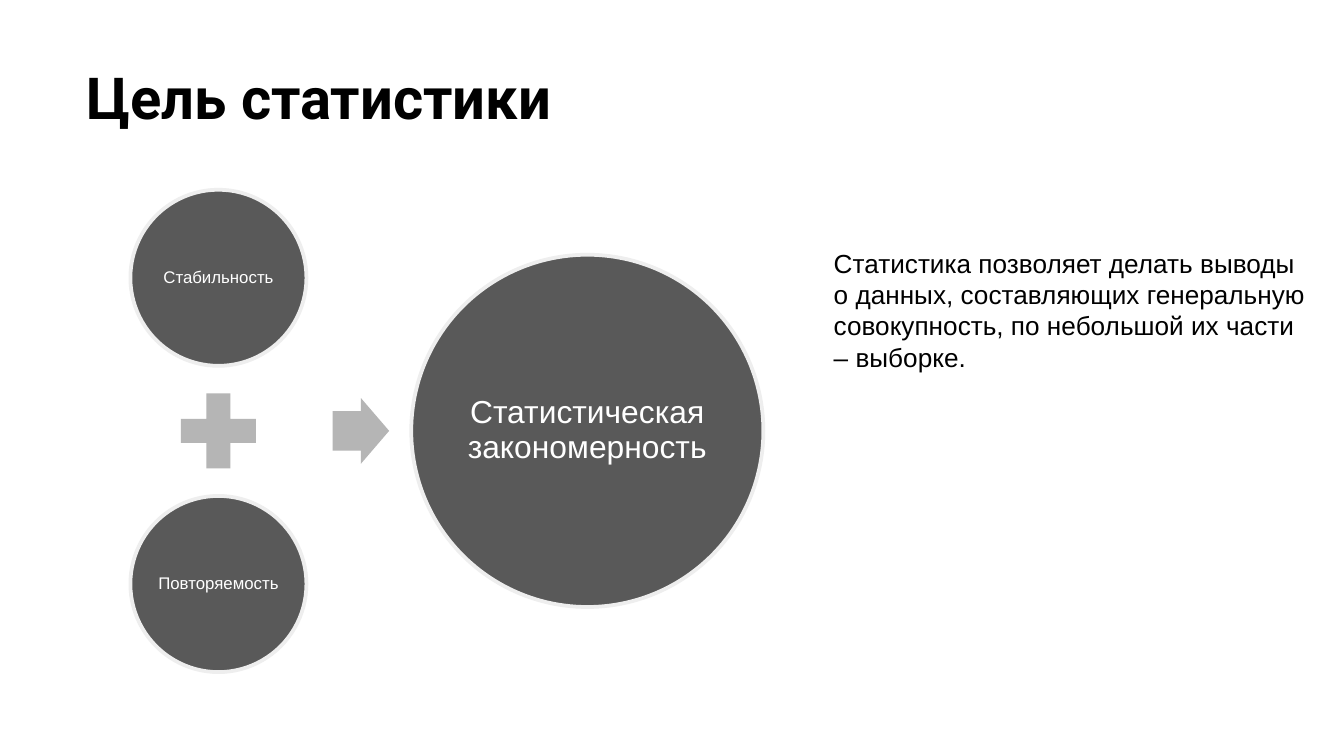
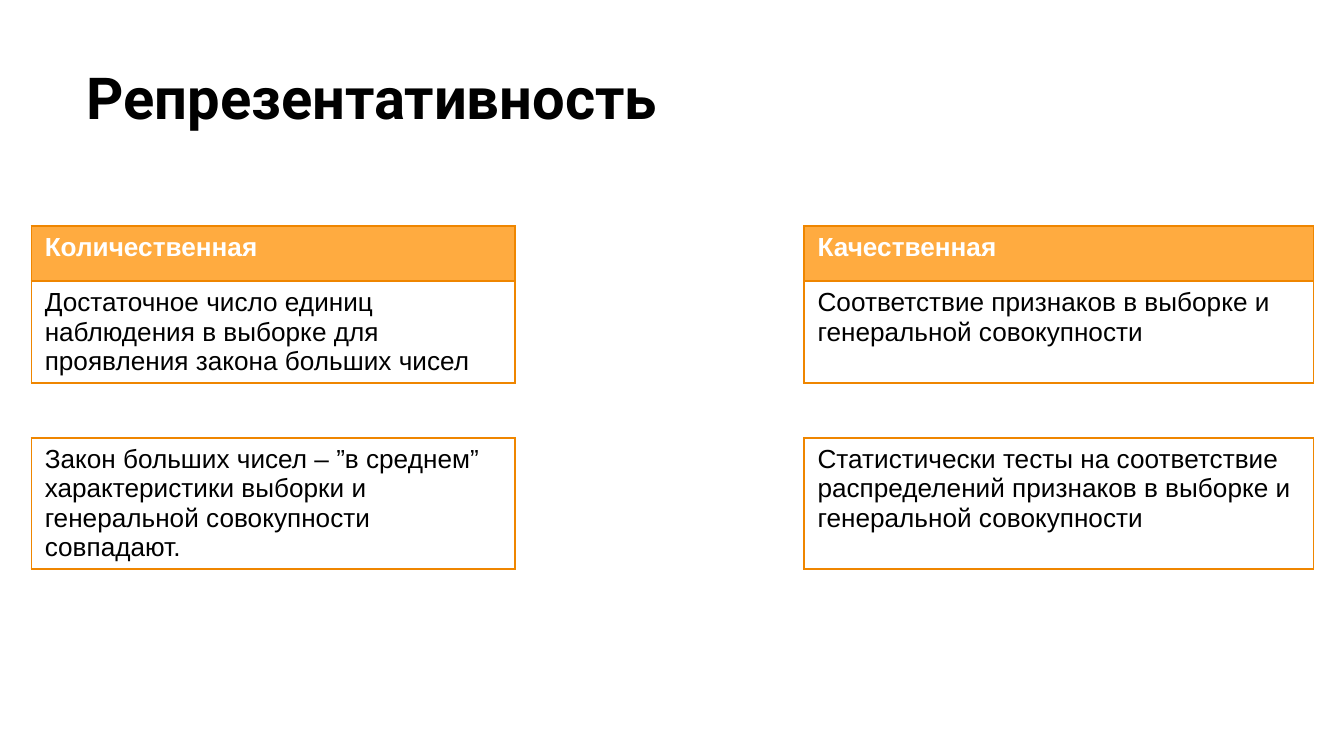
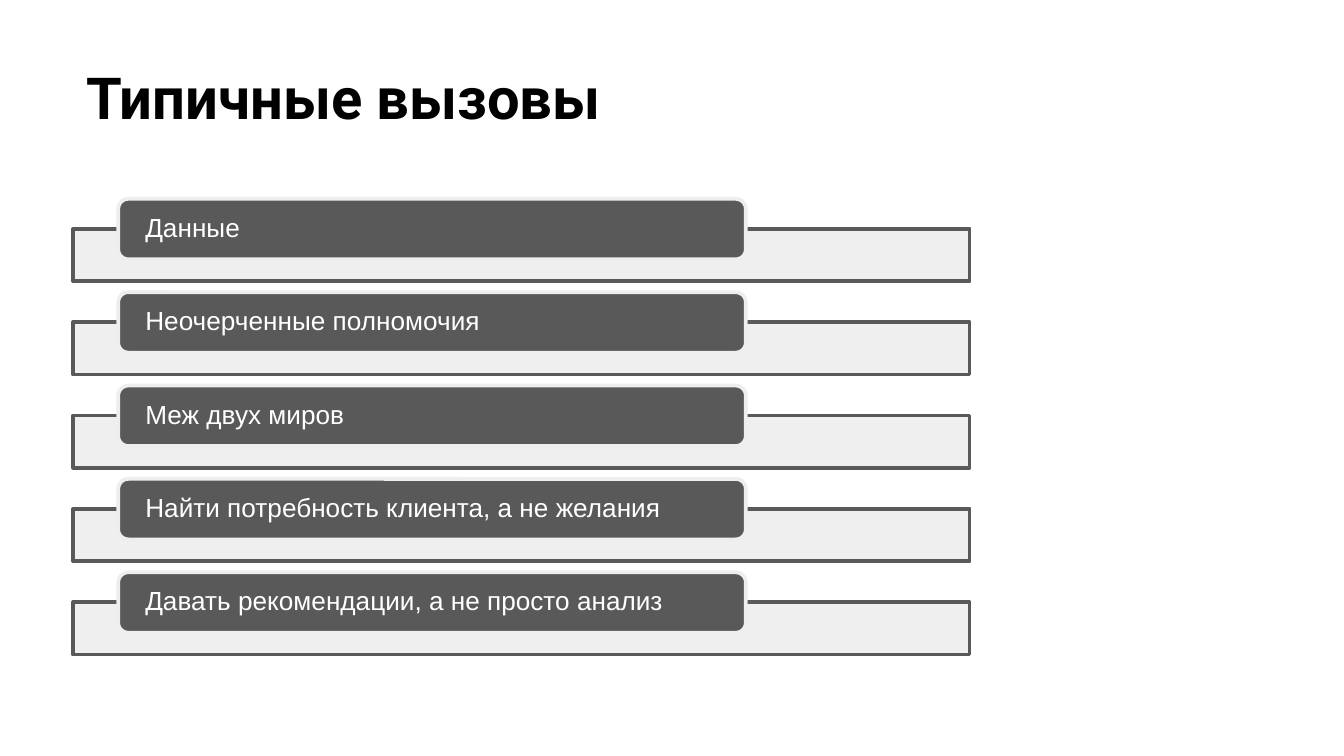
import pptx
import pptx.util
import pptx.dml.color
import pptx.enum.shapes
import pptx.enum.text
import pptx.oxml
import pptx.oxml.ns

Pt = pptx.util.Pt
Kind = pptx.enum.shapes.MSO_SHAPE
Side = pptx.enum.text.PP_ALIGN
Hold = pptx.enum.text.MSO_ANCHOR

dark, pale, grey, gold, edge = "595959", "EEEEEE", "B5B5B5", "FFAB40", "EF8600"
white, black = "FFFFFF", "000000"

deck = pptx.Presentation()
deck.slide_width = pptx.util.Inches(10)
deck.slide_height = deck.slide_width * 9 // 16
col = deck.slide_width / 100
row = deck.slide_height / 100


def hue(code):
    return pptx.dml.color.RGBColor.from_string(code)


def draw(page, kind, box, fill, line=None):
    left, top, width, height = box
    shape = page.shapes.add_shape(
        kind, int(left * col), int(top * row), int(width * col), int(height * row))
    shape.shadow.inherit = False
    shape.fill.solid()
    shape.fill.fore_color.rgb = hue(fill)
    if line:
        shape.line.color.rgb = hue(line)
        shape.line.width = Pt(2)
    else:
        shape.line.fill.background()
    return shape


pages = []
for name in ["Цель статистики", "Репрезентативность", "Типичные вызовы"]:
    page = deck.slides.add_slide(deck.slide_layouts[5])
    head = page.shapes.title
    place = {"left": 5.45 * col, "top": 6.4 * row, "width": 93.2 * col, "height": 21.3 * row}
    for key, value in place.items():
        setattr(head, key, int(value))
    frame = head.text_frame
    frame.text = name
    form = {"vertical_anchor": Hold.TOP, "word_wrap": True,
            "auto_size": pptx.enum.text.MSO_AUTO_SIZE.NONE}
    for lip in ["left", "right", "top", "bottom"]:
        form["margin_" + lip] = int(col)
    for key, value in form.items():
        setattr(frame, key, value)
    frame.paragraphs[0].alignment = Side.LEFT
    font = frame.paragraphs[0].font
    for key, value in {"name": "Roboto", "size": Pt(31), "bold": True}.items():
        setattr(font, key, value)
    font.color.rgb = hue(black)
    pages.append(page)

goal, sample, tasks = pages
labels = []

for text, box, size in [
    ("Стабильность", (9.7, 25.1, 13.1, 23.3), 9),
    ("Повторяемость", (9.7, 65.6, 13.1, 23.3), 9),
    ("Статистическая закономерность", (30.6, 33.7, 26.2, 46.6), 17),
]:
    disc = draw(goal, Kind.OVAL, box, dark, pale)
    labels.append((disc, text, size, Side.CENTER, 0.1))

draw(goal, Kind.MATH_PLUS, (12.45, 50.25, 7.6, 13.5), grey)
arrow = draw(goal, Kind.RIGHT_ARROW, (24.75, 52.65, 4.2, 8.7), grey)
arrow.adjustments[0] = 0.6
arrow.adjustments[1] = 0.5

note = goal.shapes.add_textbox(
    int(61.05 * col), int(31.8 * row), int(37.6 * col), int(18.5 * row))
note.text_frame.word_wrap = True
note.text_frame.text = (
    "Статистика позволяет делать выводы о данных, составляющих генеральную "
    "совокупность, по небольшой их части – выборке.")
para = note.text_frame.paragraphs[0]
for key, value in {"name": "Arial", "size": Pt(14)}.items():
    setattr(para.font, key, value)
para.font.color.rgb = hue(black)

rows = [
    ("Количественная", "", "Качественная"),
    ("Достаточное число единиц наблюдения в выборке для проявления закона больших чисел",
     "", "Соответствие признаков в выборке и генеральной совокупности"),
    ("", "", ""),
    ("Закон больших чисел – ”в среднем” характеристики выборки и генеральной совокупности совпадают.",
     "", "Статистически тесты на соответствие распределений признаков в выборке и генеральной совокупности"),
]
grid = sample.shapes.add_table(
    4, 3, int(2.33 * col), int(29.9 * row), int(95.4 * col), int(29.2 * row)).table
style = grid._tbl.tblPr.find(pptx.oxml.ns.qn("a:tableStyleId"))
style.text = "{2D5ABB26-0587-4C30-8999-92F81FD0307C}"
for part, width in zip(grid.columns, [36, 21.5, 37.9]):
    part.width = int(width * col)
for y, line in enumerate(rows):
    grid.rows[y].height = int(7.3 * row)
    for x, text in enumerate(line):
        cell = grid.cell(y, x)
        cell.text = text
        font = cell.text_frame.paragraphs[0].font
        for key, value in {"name": "Arial", "size": Pt(14), "bold": y == 0}.items():
            setattr(font, key, value)
        font.color.rgb = hue(black if y else white)
        sides = "LRTB" if text else "LR" if y != 2 else "TB" if x != 1 else ""
        for side in sides:
            cell._tc.get_or_add_tcPr().append(pptx.oxml.parse_xml(
                f'<a:ln{side} {pptx.oxml.ns.nsdecls("a")} w="12700"><a:solidFill>'
                f'<a:srgbClr val="{edge}"/></a:solidFill></a:ln{side}>'))
        if text and y == 0:
            cell.fill.solid()
            cell.fill.fore_color.rgb = hue(gold)
        else:
            cell.fill.background()

for step, text in enumerate([
    "Данные",
    "Неочерченные полномочия",
    "Меж двух миров",
    "Найти потребность клиента, а не желания",
    "Давать рекомендации, а не просто анализ",
]):
    drop = step * 12.35
    bar = draw(tasks, Kind.RECTANGLE, (5.45, 30.25 + drop, 66.7, 6.95), pale, dark)
    tint = bar._element.spPr.find(pptx.oxml.ns.qn("a:solidFill"))[0]
    tint.append(pptx.oxml.parse_xml(
        f'<a:alpha {pptx.oxml.ns.nsdecls("a")} val="90000"/>'))
    tab = draw(tasks, Kind.ROUNDED_RECTANGLE, (8.8, 26.3 + drop, 46.7, 8), dark, pale)
    labels.append((tab, text, 14, Side.LEFT, 1.8))

for shape, text, size, side, pad in labels:
    frame = shape.text_frame
    frame.text = text
    form = {"word_wrap": True, "vertical_anchor": Hold.MIDDLE,
            "margin_left": int(pad * col), "margin_right": int(pad * col),
            "margin_top": 0, "margin_bottom": 0}
    for key, value in form.items():
        setattr(frame, key, value)
    para = frame.paragraphs[0]
    for key, value in {"alignment": side, "line_spacing": 0.9}.items():
        setattr(para, key, value)
    for key, value in {"name": "Arial", "size": Pt(size)}.items():
        setattr(para.font, key, value)
    para.font.color.rgb = hue(white)

deck.save("out.pptx")
